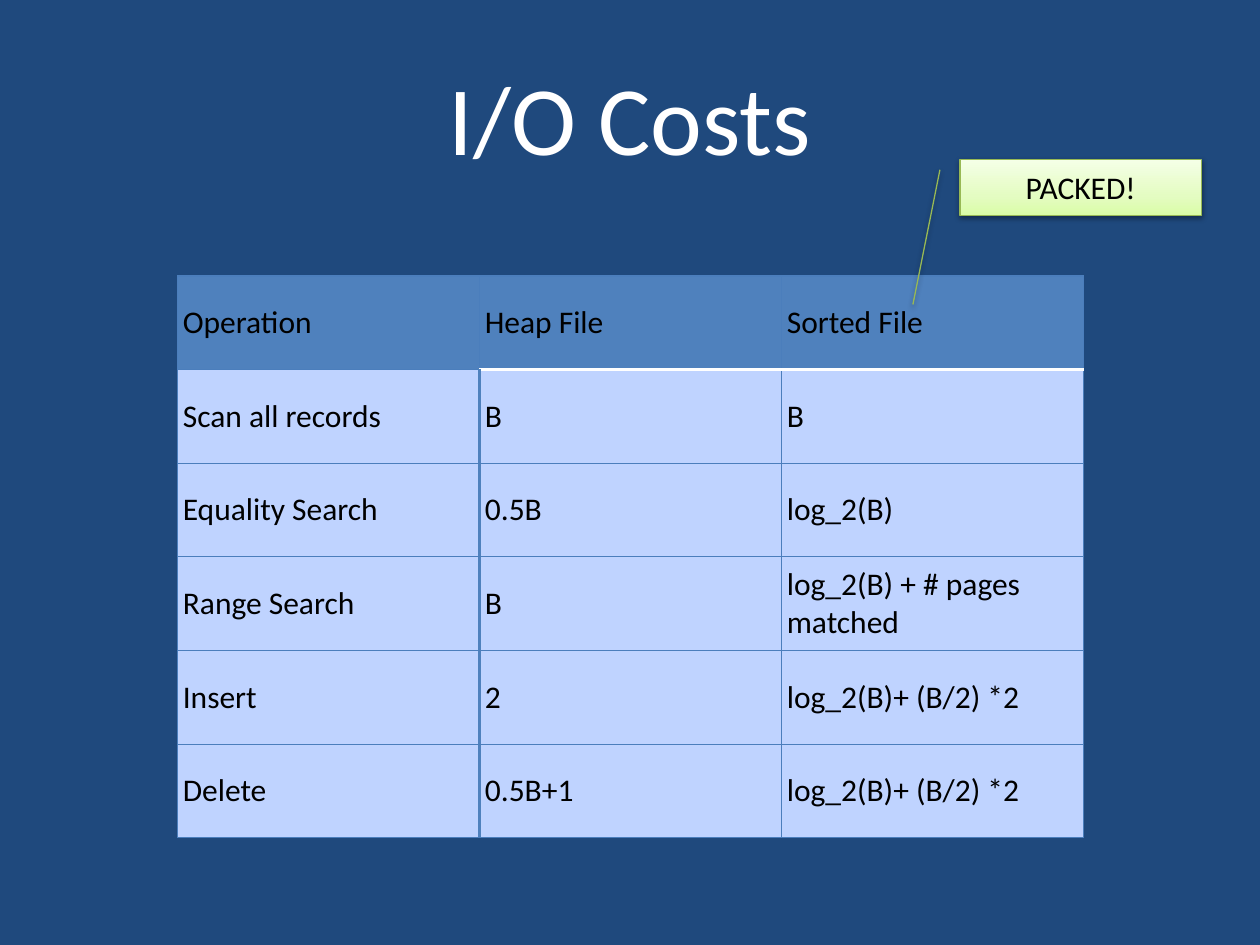
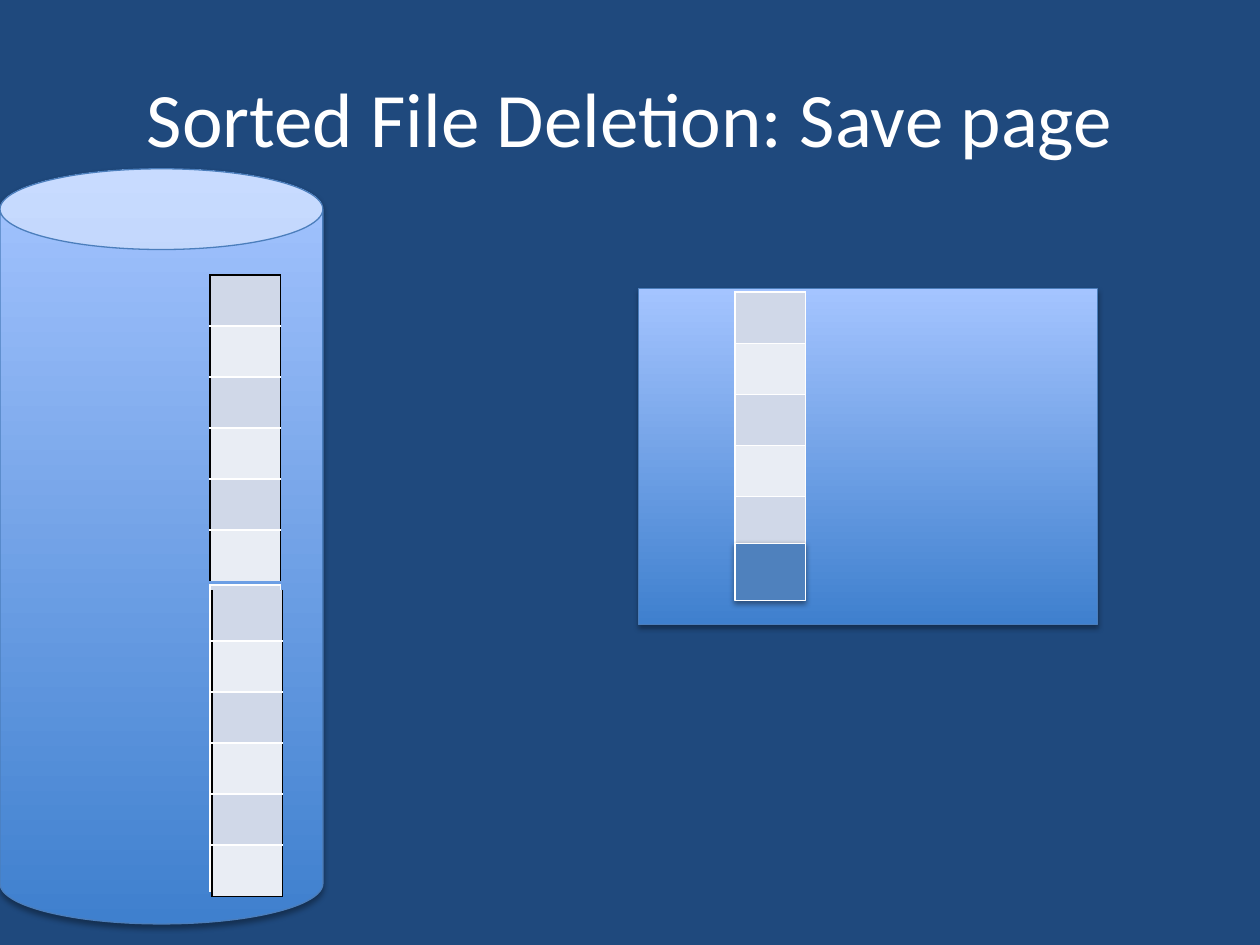
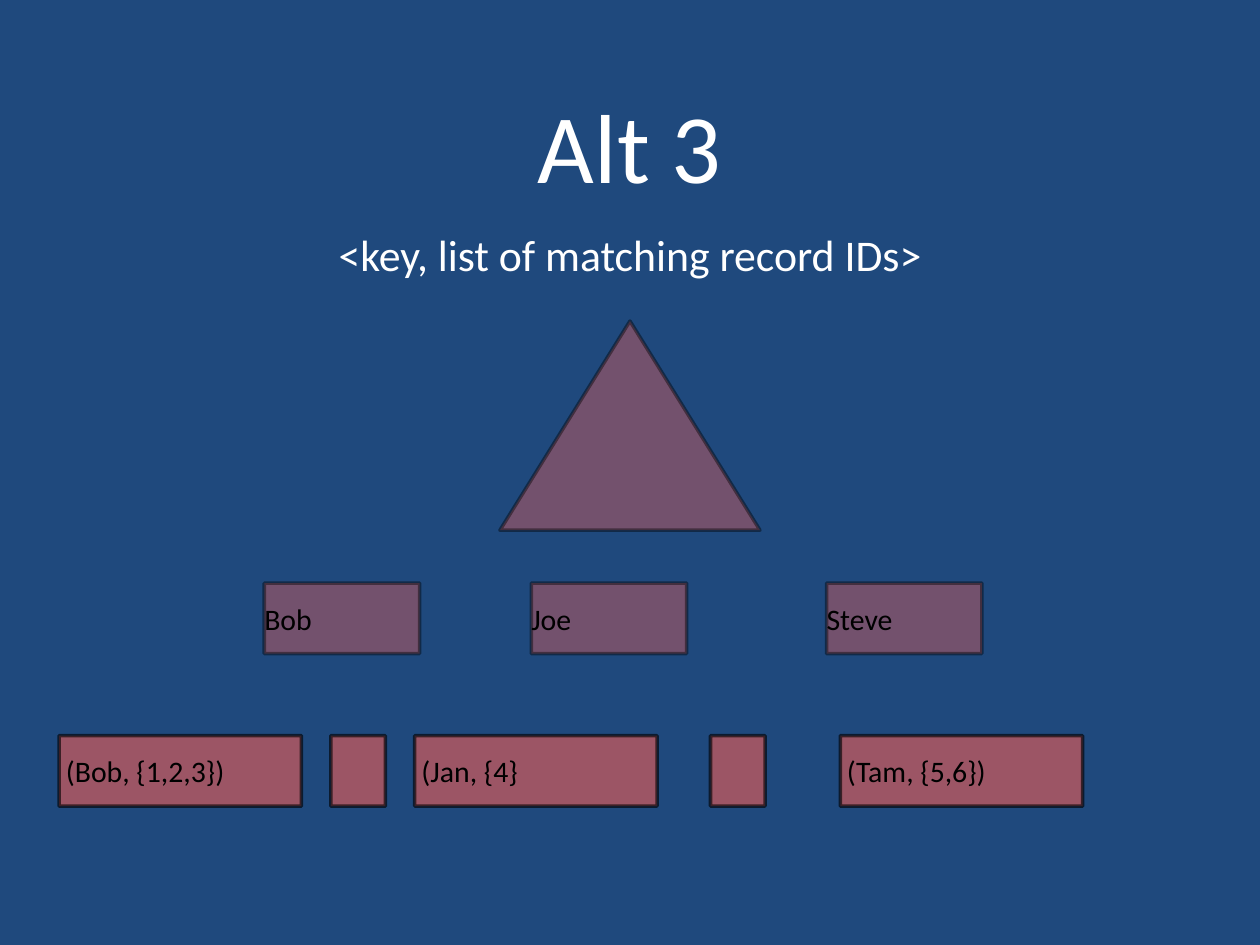
"""Build three database lecture slides: I/O costs, sorted files and an index."""
from lxml import etree
from pptx import Presentation
from pptx.dml.color import RGBColor
from pptx.enum.shapes import MSO_SHAPE
from pptx.enum.text import MSO_ANCHOR, MSO_AUTO_SIZE, PP_ALIGN
from pptx.oxml.ns import qn
from pptx.util import Pt

NAVY = RGBColor(0x1F, 0x49, 0x7D)
WHITE = RGBColor(0xFF, 0xFF, 0xFF)
BLACK = RGBColor(0x00, 0x00, 0x00)
BLUE = RGBColor(0x4F, 0x81, 0xBD)
BLUE_EDGE = RGBColor(0x4B, 0x7E, 0xBC)
PALE_BLUE = RGBColor(0xBF, 0xD3, 0xFF)
BAND_DARK = RGBColor(0xD0, 0xD8, 0xE8)
BAND_LIGHT = RGBColor(0xE9, 0xED, 0xF4)
GREEN_EDGE = RGBColor(0x98, 0xB9, 0x55)
CORAL = RGBColor(0xEC, 0x5D, 0x57)
BLUE_STOPS = [(0, RGBColor(0x3F, 0x80, 0xCE)), (100, RGBColor(0xA4, 0xC4, 0xFF))]
GREEN_STOPS = [(0, RGBColor(0xDA, 0xFD, 0xA7)), (35, RGBColor(0xE4, 0xFC, 0xC2)),
               (100, RGBColor(0xF5, 0xFF, 0xE7))]

FONT = "Calibri"
TITLE_ONLY = 5
TITLE_BOX = (36, 21.6, 648, 90)
LEFT, CENTER = PP_ALIGN.LEFT, PP_ALIGN.CENTER
TOP, MIDDLE = MSO_ANCHOR.TOP, MSO_ANCHOR.MIDDLE
NO_AUTOFIT = MSO_AUTO_SIZE.NONE
RECTANGLE, CAN, CALLOUT = MSO_SHAPE.RECTANGLE, MSO_SHAPE.CAN, MSO_SHAPE.LINE_CALLOUT_1

COSTS = [
    ("Operation", "Heap File", "Sorted File"),
    ("Scan all records", "B", "B"),
    ("Equality Search", "0.5B", "log_2(B)"),
    ("Range Search", "B", "log_2(B) + # pages matched"),
    ("Insert", "2", "log_2(B)+ (B/2) *2"),
    ("Delete", "0.5B+1", "log_2(B)+ (B/2) *2"),
]


def points(box):
    """Turn a box of plain numbers into point lengths."""
    return [Pt(value) for value in box]


def write(frame, text, size, color, align=LEFT, anchor=MIDDLE):
    """Fill a text frame with one formatted paragraph."""
    frame.text = text
    frame.word_wrap = True
    frame.auto_size = NO_AUTOFIT
    frame.vertical_anchor = anchor
    format_paragraph(frame.paragraphs[0], size, color, align)


def format_paragraph(paragraph, size, color, align):
    """Align a paragraph and set the font of its runs."""
    paragraph.alignment = align
    for run in paragraph.runs:
        run.font.name = FONT
        run.font.size = Pt(size)
        run.font.color.rgb = color


def add_slide(prs, title, size, box=TITLE_BOX):
    """Add a slide with its title placed and formatted."""
    slide = prs.slides.add_slide(prs.slide_layouts[TITLE_ONLY])
    heading = slide.shapes.title
    heading.left, heading.top, heading.width, heading.height = points(box)
    write(heading.text_frame, title, size, WHITE, CENTER)
    return slide


def outline(shape, color, width):
    """Set the outline and drop the inherited shadow."""
    shape.shadow.inherit = False
    shape.line.color.rgb = color
    shape.line.width = Pt(width)


def add_color(parent, color, alpha=None):
    """Append an RGB colour, with an opacity in percent, to an XML element."""
    node = etree.SubElement(parent, qn("a:srgbClr"), val=str(color))
    if alpha is not None:
        etree.SubElement(node, qn("a:alpha"), val=str(alpha * 1000))


def set_gradient(shape, stops):
    """Fill a shape with a gradient that rises from its bottom edge."""
    shape.fill.gradient()
    shape.fill.gradient_angle = 90
    stop_list = shape.element.spPr.find(".//" + qn("a:gsLst"))
    for old_stop in list(stop_list):
        stop_list.remove(old_stop)
    for position, color in stops:
        add_color(etree.SubElement(stop_list, qn("a:gs"), pos=str(position * 1000)), color)


def add_shadow(shape, distance, alpha):
    """Put a soft black shadow below a shape."""
    effects = shape.element.spPr.find(qn("a:effectLst"))
    shadow = etree.SubElement(effects, qn("a:outerShdw"), blurRad=str(Pt(3.1)),
                              dist=str(Pt(distance)), dir="5400000", rotWithShape="0")
    add_color(shadow, BLACK, alpha)


def add_raised(slide, kind, box, stops=BLUE_STOPS, edge=BLUE_EDGE, distance=1.8, alpha=35):
    """Add a preset shape with a gradient and a shadow."""
    shape = slide.shapes.add_shape(kind, *points(box))
    outline(shape, edge, 0.75)
    set_gradient(shape, stops)
    add_shadow(shape, distance, alpha)
    return shape


def style_cell(cell, fill, borders):
    """Set a cell's fill and its left, right, top and bottom borders."""
    properties = cell._tc.get_or_add_tcPr()
    for side, border in zip("LRTB", borders):
        color, width = border or (None, 1)
        line = etree.SubElement(properties, qn("a:ln" + side), w=str(Pt(width)))
        if color is None:
            etree.SubElement(line, qn("a:noFill"))
        else:
            add_color(etree.SubElement(line, qn("a:solidFill")), color)
    cell.fill.solid()
    cell.fill.fore_color.rgb = fill


def add_grid(slide, left, top, rows, columns, row_height, column_width):
    """Add a plain table of equal cells."""
    table = slide.shapes.add_table(rows, columns, *points(
        (left, top, columns * column_width, rows * row_height))).table
    table.first_row = table.horz_banding = False
    for row in table.rows:
        row.height = Pt(row_height)
    for column in table.columns:
        column.width = Pt(column_width)
    return table


def add_cost_table(slide):
    """Add the table of I/O costs per operation and file type."""
    table = add_grid(slide, 101.5, 157.7, len(COSTS), len(COSTS[0]), 53.54, 172.6)
    thin, divider, header_rule = (BLUE_EDGE, 0.75), (BLUE, 2), (WHITE, 2)
    for r, row in enumerate(COSTS):
        for c, text in enumerate(row):
            cell = table.cell(r, c)
            cell.text = text
            cell.vertical_anchor = MIDDLE
            cell.margin_left = cell.margin_right = Pt(3)
            cell.margin_top = cell.margin_bottom = Pt(3)
            format_paragraph(cell.text_frame.paragraphs[0], 18, BLACK, LEFT)
            style_cell(cell, BLUE if r == 0 else PALE_BLUE, (
                divider if r and c == 1 else thin,
                divider if r and c == 0 else thin,
                header_rule if r == 1 and c else thin,
                header_rule if r == 0 and c else thin))


def add_page(slide, left, top, rows=6, side=WHITE, first=WHITE, last=WHITE):
    """Add a page as a column of banded, empty record slots."""
    table = add_grid(slide, left, top, rows, 1, 29.2, 40.2)
    inner, edge = (WHITE, 1), (side, 1)
    for r in range(rows):
        above = (first and (first, 1)) if r == 0 else inner
        below = (last and (last, 1)) if r == rows - 1 else inner
        style_cell(table.cell(r, 0), BAND_LIGHT if r % 2 else BAND_DARK,
                   (edge, edge, above, below))


def make_translucent(shape, alpha):
    """Give a shape the coral fill and black outline of an index node."""
    outline(shape, BLACK, 2)
    shape.fill.solid()
    shape.fill.fore_color.rgb = CORAL
    for color in shape.element.spPr.iter(qn("a:srgbClr")):
        etree.SubElement(color, qn("a:alpha"), val=str(alpha * 1000))


def add_node(slide, left, top, width, alpha, text=""):
    """Add an index node, with a label if it has one."""
    node = slide.shapes.add_shape(RECTANGLE, *points((left, top, width, 40.3)))
    make_translucent(node, alpha)
    if text:
        frame = node.text_frame
        frame.margin_left = frame.margin_right = frame.margin_top = frame.margin_bottom = 0
        write(frame, text, 17, BLACK)


def build_costs(prs):
    """Slide with the cost table and its callout."""
    slide = add_slide(prs, "I/O Costs", 56)
    add_cost_table(slide)
    packed = add_raised(slide, CALLOUT, (548.6, 91, 138, 32), GREEN_STOPS, GREEN_EDGE, 1.6, 38)
    for i, value in enumerate((0.188, -0.083, 2.594, -0.195)):
        packed.adjustments[i] = value
    write(packed.text_frame, "PACKED!", 18, BLACK, CENTER)


def build_deletion(prs):
    """Slide with pages on disk and one page in memory."""
    slide = add_slide(prs, "Sorted File Deletion: Save page", 44)
    add_raised(slide, CAN, (0, 96.5, 184.5, 431.5))
    add_raised(slide, RECTANGLE, (364.8, 165, 262.3, 192))
    add_page(slide, 120, 157, side=BLACK, first=BLACK, last=None)
    add_page(slide, 120, 334.3)
    add_page(slide, 121.2, 337, side=BLACK, first=None, last=BLACK)
    add_page(slide, 420, 167, rows=5)
    deleted = slide.shapes.add_shape(RECTANGLE, *points((420, 310.4, 40.2, 32.8)))
    outline(deleted, WHITE, 0.75)
    deleted.fill.solid()
    deleted.fill.fore_color.rgb = BLUE
    add_shadow(deleted, 1.6, 38)


def build_index(prs):
    """Slide with an index whose leaves hold lists of record IDs."""
    slide = add_slide(prs, "Alt 3", 56, (52.5, 23, 615, 119.5))
    subtitle = slide.shapes.add_textbox(*points((52.5, 126.7, 615, 49)))
    write(subtitle.text_frame, "<key, list of matching record IDs>", 25, WHITE, CENTER, TOP)

    builder = slide.shapes.build_freeform(Pt(360), Pt(183.5))
    builder.add_line_segments([(Pt(434.3), Pt(303)), (Pt(285.7), Pt(303))], close=True)
    make_translucent(builder.convert_to_shape(), 41)

    for left, key in ((151, "Bob"), (303.6, "Joe"), (472.3, "Steve")):
        add_node(slide, left, 333.2, 88.8, 41, key)
    for left, entry in ((33.8, " (Bob, {1,2,3})"), (237, " (Jan, {4}"),
                        (480.2, " (Tam, {5,6})")):
        add_node(slide, left, 420.4, 138.5, 61, entry)
    for left in (406, 189):
        add_node(slide, left, 420.4, 31.2, 61)


def main():
    """Build and save the presentation."""
    prs = Presentation()
    prs.slide_width, prs.slide_height = Pt(720), Pt(540)
    backdrop = prs.slide_master.background.fill
    backdrop.solid()
    backdrop.fore_color.rgb = NAVY
    build_costs(prs)
    build_deletion(prs)
    build_index(prs)
    prs.save("out.pptx")


main()
